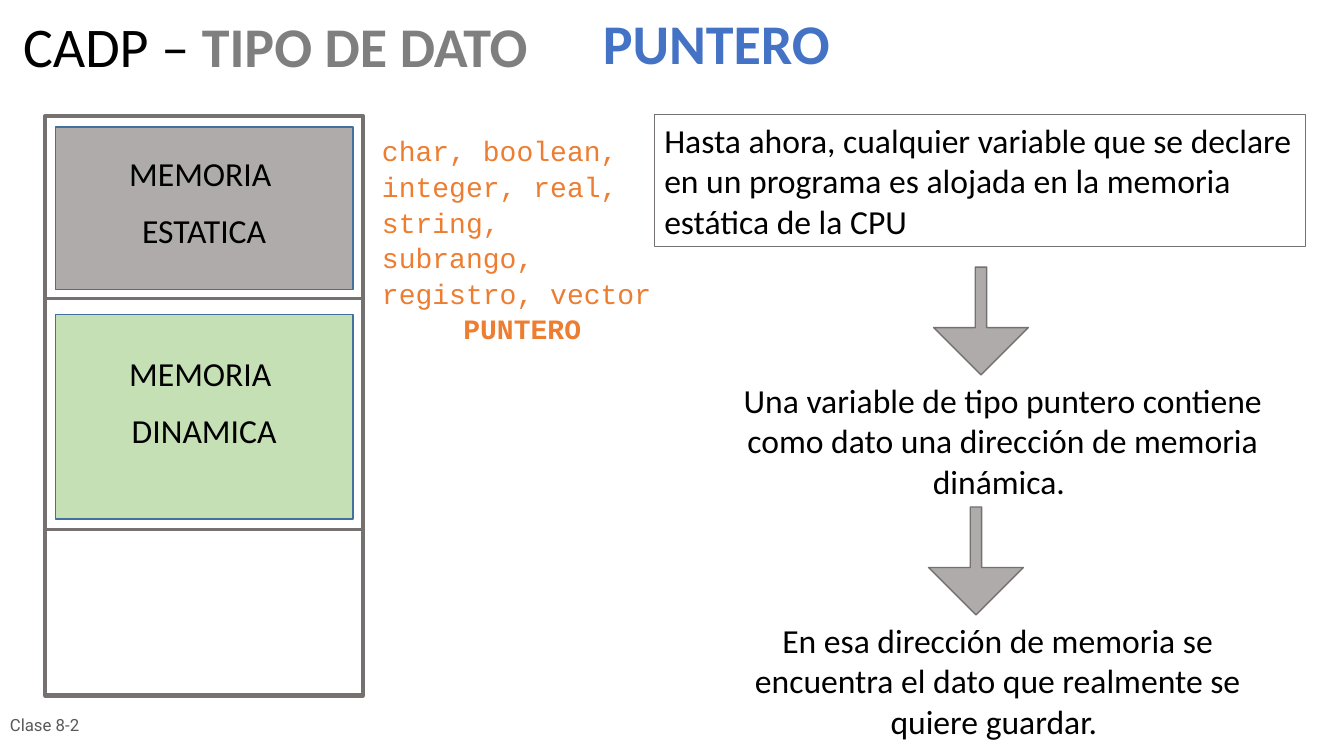
import pptx
import pptx.util
import pptx.dml.color
import pptx.enum.shapes
import pptx.enum.text
import lxml.etree

Inches = pptx.util.Inches
Pt = pptx.util.Pt
SHAPE = pptx.enum.shapes.MSO_SHAPE
ALIGN = pptx.enum.text.PP_ALIGN
ANCHOR = pptx.enum.text.MSO_ANCHOR
GRAY, EDGE, BLACK = "AFABAB", "767171", "000000"


def paint(target, color):
    """Give a fill, or the fill of a line or font, a solid colour."""
    target.solid()
    target.fore_color.rgb = pptx.dml.color.RGBColor.from_string(color)


def write(shape, lines, size, color, font="Calibri", align=ALIGN.LEFT):
    """Put one paragraph per line into a shape and format the runs."""
    frame = shape.text_frame
    frame.text = "\n".join(lines)
    frame.word_wrap = True
    frame.auto_size = pptx.enum.text.MSO_AUTO_SIZE.NONE
    frame.vertical_anchor = ANCHOR.TOP
    for para in frame.paragraphs:
        para.alignment = align
        for run in para.runs:
            run.font.size = Pt(size)
            run.font.name = font
            paint(run.font.fill, color)
    return frame


deck = pptx.Presentation()
deck.slide_width, deck.slide_height = Inches(13.33), Inches(7.5)
slide = deck.slides.add_slide(deck.slide_layouts[5])
shapes = slide.shapes

# Title in two tones, with the topic beside it
title = shapes.title
title.left, title.top = Inches(0.13), Inches(0.14)
title.width, title.height = Inches(5.28), Inches(0.76)
para = write(title, ["CADP – "], 40, BLACK).paragraphs[0]
para.line_spacing = 0.9
run = para.add_run()
run.text = "TIPO DE DATO"
run.font.size, run.font.name, run.font.bold = Pt(40), "Calibri", True
paint(run.font.fill, "7F7F7F")

topic = shapes.add_textbox(Inches(5.88), Inches(0.11), Inches(5.28), Inches(0.76))
para = write(topic, ["PUNTERO"], 40, "4472C4").paragraphs[0]
para.line_spacing = 0.9
para.runs[0].font.bold = True

# Boxes: the note, the memory frame and its two filled areas
boxes = [
    (6.49, 1.14, 6.46, 1.31, None, EDGE, 0.75),
    (0.45, 1.15, 3.15, 5.75, None, EDGE, 3),
    (0.55, 1.26, 2.95, 1.61, GRAY, "41719C", 1),
    (0.55, 3.12, 2.95, 2.03, "C5E0B4", "41719C", 1),
]
drawn = []
for left, top, width, height, fill, line, weight in boxes:
    box = shapes.add_shape(SHAPE.RECTANGLE, Inches(left), Inches(top),
                           Inches(width), Inches(height))
    box.shadow.inherit = False
    if fill:
        paint(box.fill, fill)
    else:
        box.fill.background()
    paint(box.line.fill, line)
    box.line.width = Pt(weight)
    drawn.append(box)
write(drawn[0], ["Hasta ahora, cualquier variable que se declare en un programa "
                 "es alojada en la memoria estática de la CPU"], 24, BLACK)

# Lines that divide the memory frame
for top in (2.96, 5.25):
    rule = shapes.add_connector(pptx.enum.shapes.MSO_CONNECTOR.STRAIGHT,
                                Inches(0.45), Inches(top), Inches(3.6), Inches(top))
    paint(rule.line.fill, EDGE)
    rule.line.width = Pt(2.25)
    props = rule.line._get_or_add_ln().getparent()
    lxml.etree.SubElement(props, pptx.oxml.ns.qn("a:effectLst"))

# Names of the memory areas
for top, name in ((1.47, "ESTATICA"), (3.45, "DINAMICA")):
    label = shapes.add_textbox(Inches(1.16), Inches(top), Inches(1.73), Inches(1.11))
    frame = write(label, ["MEMORIA ", name], 24, BLACK, align=ALIGN.CENTER)
    frame.paragraphs[1].space_before = Pt(12)

# Types kept in static memory
types = shapes.add_textbox(Inches(3.69), Inches(1.26), Inches(2.98), Inches(1.78))
frame = write(types, ["char, boolean,", "integer, real,", "string, subrango,",
                      "registro, vector", "PUNTERO"], 20, "ED7D31", "Courier New")
for para in frame.paragraphs:
    para.line_spacing = 1.06
para.alignment = ALIGN.CENTER
para.runs[0].font.bold = True

# Steps: each arrow leads to the text below it
steps = [
    (9.26, 2.65, 7.1, "Una variable de tipo puntero contiene como dato "
                      "una dirección de memoria dinámica. "),
    (9.21, 5.03, 7.05, "En esa dirección de memoria se encuentra el dato "
                       "que realmente se quiere guardar. "),
]
for left, top, edge, words in steps:
    arrow = shapes.add_shape(SHAPE.DOWN_ARROW, Inches(left), Inches(top),
                             Inches(0.94), Inches(1.07))
    arrow.adjustments[0], arrow.adjustments[1] = 0.12, 0.5
    arrow.shadow.inherit = False
    paint(arrow.fill, GRAY)
    paint(arrow.line.fill, EDGE)
    arrow.line.width = Pt(1)
    step = shapes.add_textbox(Inches(edge), Inches(top + 1.07), Inches(5.69), Inches(1.31))
    write(step, [words], 24, BLACK, align=ALIGN.CENTER)

# Class number
foot = shapes.add_textbox(Inches(0), Inches(6.99), Inches(2.33), Inches(0.4))
write(foot, ["Clase 8-2"], 12, "595959", "Roboto").vertical_anchor = ANCHOR.MIDDLE

deck.save("out.pptx")
